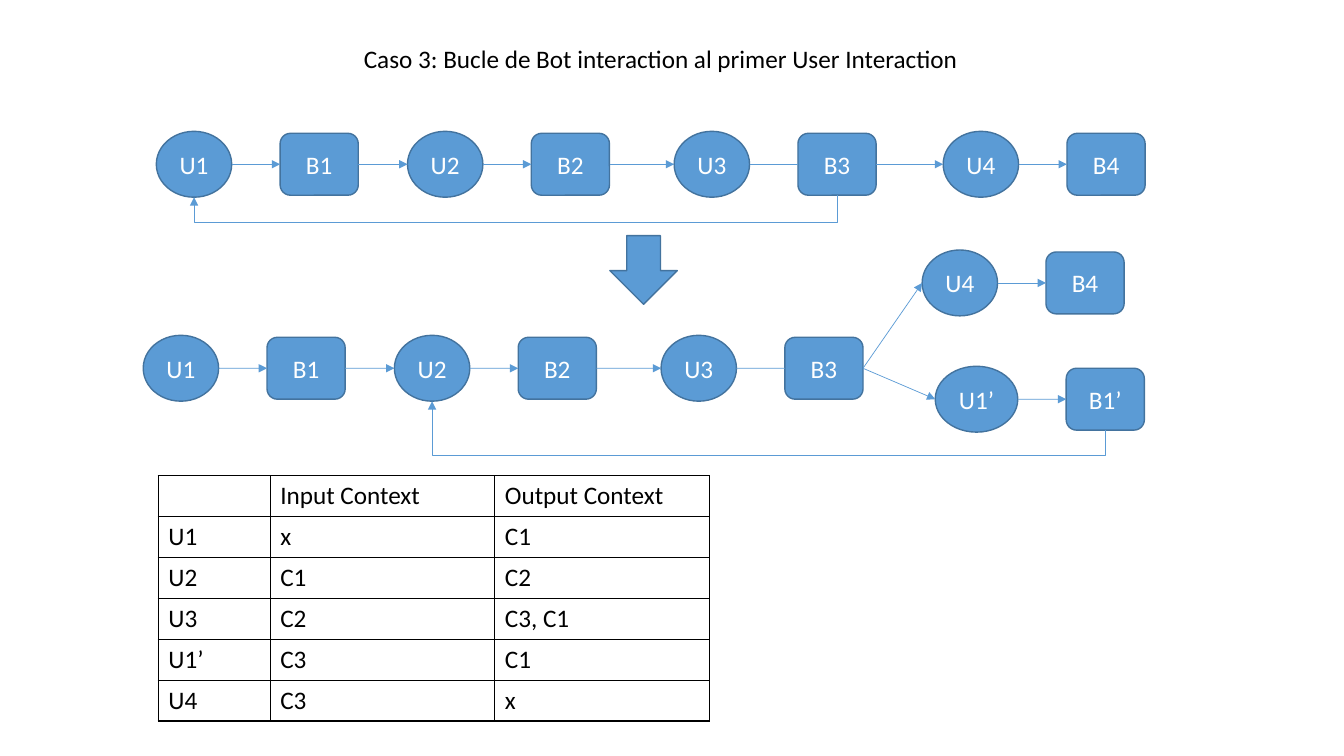
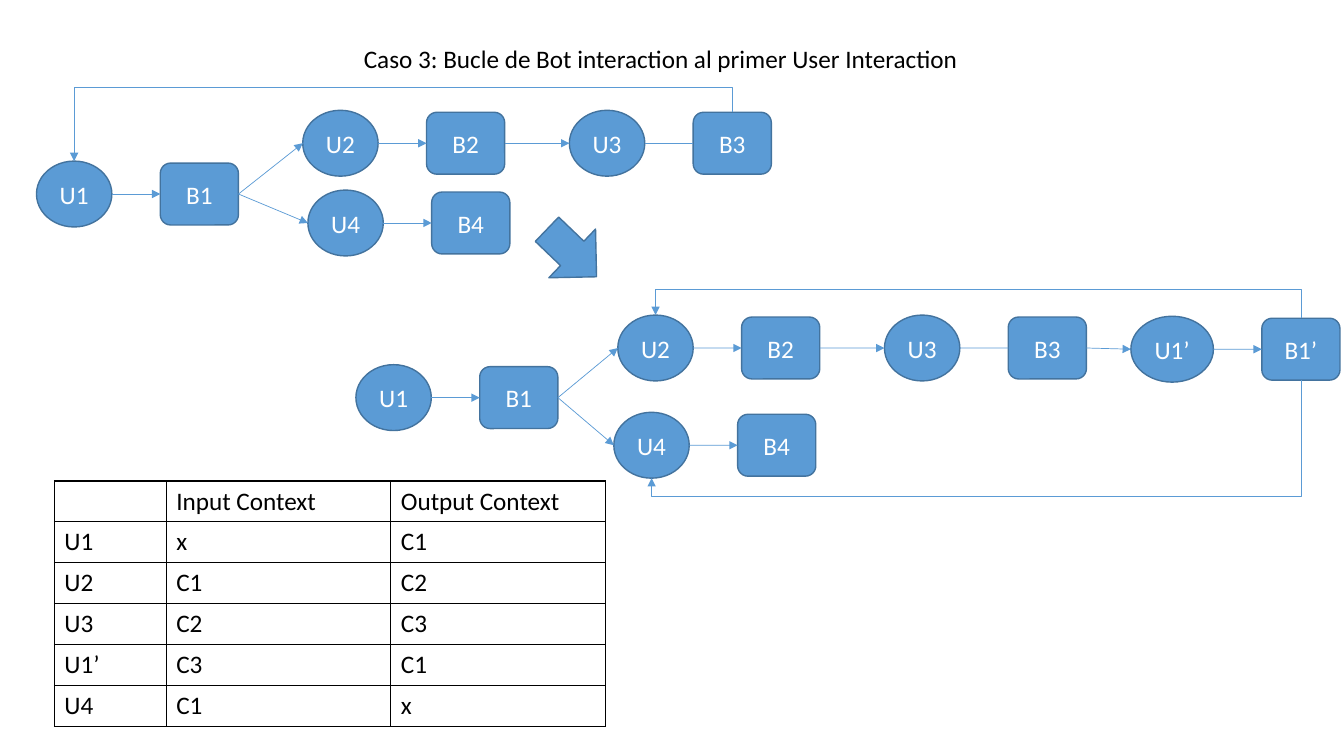
from lxml import etree
from pptx import Presentation
from pptx.dml.color import RGBColor
from pptx.enum.shapes import MSO_CONNECTOR, MSO_SHAPE
from pptx.enum.text import MSO_ANCHOR, PP_ALIGN
from pptx.oxml.ns import qn
from pptx.util import Cm, Pt

BLUE, DARK_BLUE, WHITE, BLACK = "5B9BD5", "43739E", "FFFFFF", "000000"
FONT, FONT_SIZE = "Calibri", 18
TITLE = "Caso 3: Bucle de Bot interaction al primer User Interaction"

# Lengths in centimetres
USER_WIDTH, WIDE_USER_WIDTH, USER_HEIGHT = 1.9, 2.08, 1.66
BOT_WIDTH, BOT_HEIGHT = 1.97, 1.56
PAIR_GAP = 1.22
COLUMN_WIDTHS, ROW_HEIGHT = (2.82, 5.66, 5.41), 1.03

# Connection sides in site order, as fractions of width and height
SIDES = {"top": (0.5, 0), "left": (0, 0.5), "bottom": (0.5, 1), "right": (1, 0.5)}


def color(value):
    return RGBColor.from_string(value)


def style_text(paragraph, font_color, alignment=PP_ALIGN.LEFT):
    paragraph.alignment = alignment
    paragraph.font.name = FONT
    paragraph.font.size = Pt(FONT_SIZE)
    paragraph.font.color.rgb = color(font_color)


# Shapes
def add_blue_shape(slide, preset, left, top, width, height):
    shape = slide.shapes.add_shape(preset, Cm(left), Cm(top), Cm(width), Cm(height))
    shape.shadow.inherit = False
    shape.fill.solid()
    shape.fill.fore_color.rgb = color(BLUE)
    shape.line.color.rgb = color(DARK_BLUE)
    shape.line.width = Pt(1)
    return shape


def add_node(slide, preset, label, left, middle, width, height):
    shape = add_blue_shape(slide, preset, left, middle - height / 2, width, height)
    frame = shape.text_frame
    frame.word_wrap = False
    frame.vertical_anchor = MSO_ANCHOR.MIDDLE
    frame.text = label
    style_text(frame.paragraphs[0], WHITE, PP_ALIGN.CENTER)
    return shape


# Connectors
def side_point(shape, side):
    across, down = SIDES[side]
    return (round(shape.left + across * shape.width),
            round(shape.top + down * shape.height))


def glue(connector, tag, shape, side):
    # An ellipse has eight connection sites, a rounded box has four
    step = 2 if shape.auto_shape_type == MSO_SHAPE.OVAL else 1
    index = list(SIDES).index(side) * step
    holder = connector.element.find(".//" + qn("p:cNvCxnSpPr"))
    etree.SubElement(holder, qn(tag), id=str(shape.shape_id), idx=str(index))


def finish_connector(connector, start, start_side, end, end_side, arrow=True):
    glue(connector, "a:stCxn", start, start_side)
    glue(connector, "a:endCxn", end, end_side)
    connector.line.color.rgb = color(BLUE)
    connector.line.width = Pt(0.5)
    properties = connector.element.find(qn("p:spPr"))
    if arrow:
        etree.SubElement(properties.find(qn("a:ln")), qn("a:tailEnd"), type="triangle")
    etree.SubElement(properties, qn("a:effectLst"))


def add_link(slide, start, end, arrow=True):
    connector = slide.shapes.add_connector(
        MSO_CONNECTOR.STRAIGHT, *side_point(start, "right"), *side_point(end, "left"))
    finish_connector(connector, start, "right", end, "left", arrow)


def add_loop(slide, start, end, side, reach):
    """Bent arrow back to the left that leaves and enters on the same side."""
    start_x, start_y = side_point(start, side)
    end_x, end_y = side_point(end, side)
    rise, run = abs(end_y - start_y), abs(end_x - start_x)
    left = (start_x + end_x - rise) // 2
    top = (start_y + end_y - run) // 2
    connector = slide.shapes.add_connector(
        MSO_CONNECTOR.ELBOW, left, top, left + rise, top + run)
    above, upward = side == "top", end_y < start_y
    frame = connector.element.find(".//" + qn("a:xfrm"))
    frame.set("rot", str((270 if above else 90) * 60000))
    frame.set("flipH", str(int(above != upward)))
    frame.set("flipV", str(int(above)))
    bend = Cm(-reach if above else reach) / (end_y - start_y)
    adjustments = connector.element.find(".//" + qn("a:avLst"))
    etree.SubElement(adjustments, qn("a:gd"), name="adj1",
                     fmla=f"val {round(bend * 100000)}")
    finish_connector(connector, start, side, end, side)


# Regions
def add_title(slide, left, top, width, height):
    box = slide.shapes.add_textbox(Cm(left), Cm(top), Cm(width), Cm(height))
    box.text_frame.word_wrap = True
    box.text_frame.text = TITLE
    style_text(box.text_frame.paragraphs[0], BLACK)


def add_diagram(slide, left, middle, pairs, links, loops):
    """Pairs are offsets of each user and bot; links join a bot to a user."""
    nodes = {}
    for number, (across, down) in pairs.items():
        width = WIDE_USER_WIDTH if number.endswith("’") else USER_WIDTH
        user_left, center = left + across, middle + down
        user = add_node(slide, MSO_SHAPE.OVAL, "U" + number,
                        user_left, center, width, USER_HEIGHT)
        bot = add_node(slide, MSO_SHAPE.ROUNDED_RECTANGLE, "B" + number,
                       user_left + width + PAIR_GAP, center, BOT_WIDTH, BOT_HEIGHT)
        add_link(slide, user, bot, arrow=number != "3")
        nodes[number] = user, bot
    for source, target in links:
        add_link(slide, nodes[source][1], nodes[target][0])
    for source, target, side, reach in loops:
        add_loop(slide, nodes[source][1], nodes[target][0], side, reach)


def add_step_arrow(slide, left, top, rotation=0):
    arrow = add_blue_shape(slide, MSO_SHAPE.DOWN_ARROW, left, top, 1.7, 1.73)
    arrow.rotation = rotation


def style_cell(cell):
    style_text(cell.text_frame.paragraphs[0], BLACK)
    properties = cell._tc.get_or_add_tcPr()
    for edge in ("a:lnL", "a:lnR", "a:lnT", "a:lnB"):
        border = etree.SubElement(properties, qn(edge), w=str(Pt(1)))
        fill = etree.SubElement(border, qn("a:solidFill"))
        etree.SubElement(fill, qn("a:srgbClr"), val=BLACK)
    cell.fill.background()


def add_context_table(slide, left, top, contexts):
    rows = [("", "Input Context", "Output Context"), *contexts]
    table = slide.shapes.add_table(
        len(rows), len(COLUMN_WIDTHS), Cm(left), Cm(top),
        Cm(sum(COLUMN_WIDTHS)), Cm(ROW_HEIGHT * len(rows))).table
    table.first_row = table.horz_banding = False
    for column, width in zip(table.columns, COLUMN_WIDTHS):
        column.width = Cm(width)
    for row, texts in zip(table.rows, rows):
        row.height = Cm(ROW_HEIGHT)
        for cell, text in zip(row.cells, texts):
            cell.text = text
            style_cell(cell)


def add_case_slide(presentation, diagrams, arrow, table):
    slide = presentation.slides.add_slide(presentation.slide_layouts[6])
    add_title(slide, 8.92, 0.97, 16.05, 1.02)
    for diagram in diagrams:
        add_diagram(slide, *diagram)
    add_step_arrow(slide, *arrow)
    add_context_table(slide, *table)


presentation = Presentation()
presentation.slide_width, presentation.slide_height = Cm(33.87), Cm(19.05)

# Loop at the end of a straight conversation
straight = {"1": (0, 0), "2": (6.33, 0), "3": (13.05, 0)}
add_case_slide(
    presentation,
    diagrams=[
        (3.94, 4.14, {**straight, "4": (19.83, 0)},
         ["12", "23", "34"], [("3", "1", "bottom", 0.69)]),
        (3.61, 9.28, {**straight, "4": (19.63, -2.15), "1’": (19.96, 0.78)},
         [("1", "2"), ("2", "3"), ("3", "4"), ("3", "1’")],
         [("1’", "2", "bottom", 0.63)]),
    ],
    arrow=(15.37, 5.94),
    table=(3.99, 11.99, [("U1", "x", "C1"), ("U2", "C1", "C2"), ("U3", "C2", "C3, C1"),
                         ("U1’", "C3", "C1"), ("U4", "C3", "x")]),
)

# Loop in one branch of a forked conversation
add_case_slide(
    presentation,
    diagrams=[
        (0.92, 4.89,
         {"1": (0, 0), "2": (6.71, -1.28), "3": (13.43, -1.28), "4": (6.84, 0.73)},
         ["12", "23", "14"], [("3", "1", "top", 0.63)]),
        (8.97, 10.02,
         {"1": (0, 0), "2": (6.6, -1.25), "3": (13.32, -1.25), "4": (6.5, 1.2),
          "1’": (19.53, -1.22)},
         [("1", "2"), ("2", "3"), ("1", "4"), ("3", "1’")],
         [("1’", "2", "top", 0.73), ("1’", "4", "bottom", 2.92)]),
    ],
    arrow=(13.56, 5.51, 313.8),
    table=(1.37, 12.12, [("U1", "x", "C1"), ("U2", "C1", "C2"), ("U3", "C2", "C3"),
                         ("U1’", "C3", "C1"), ("U4", "C1", "x")]),
)

presentation.save("out.pptx")
